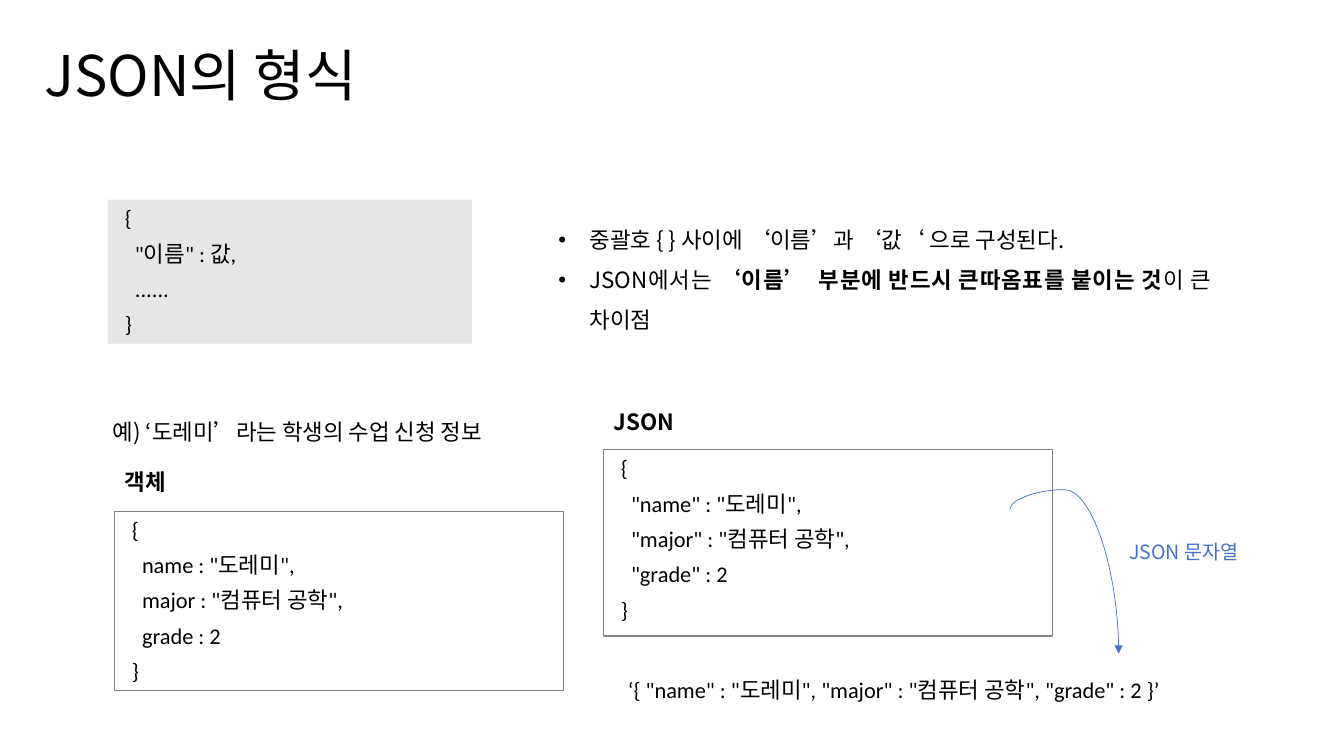
from pptx import Presentation
from pptx.dml.color import RGBColor
from pptx.enum.shapes import MSO_CONNECTOR, MSO_SHAPE
from pptx.enum.text import MSO_ANCHOR, MSO_AUTO_SIZE, PP_ALIGN
from pptx.oxml.ns import qn
from pptx.util import Pt
from lxml import etree

RECT, CURVE = MSO_SHAPE.RECTANGLE, MSO_CONNECTOR.CURVE
TOP, FIXED = MSO_ANCHOR.TOP, MSO_AUTO_SIZE.NONE
LEFT, JUSTIFY = PP_ALIGN.LEFT, PP_ALIGN.JUSTIFY
SANS, CODE = "Noto Sans CJK KR", "Calibri"
BLACK, BLUE, GRAY, PALE = "000000", "4472C4", "808080", "E7E6E6"
PX = 9144  # 100 px to the inch

# Content: places are left, top, width, height in px
TITLE = ("JSON의 형식", (34, 35, 472, 77))
# Code boxes: place, fill, line, inner rows between the braces
BOXES = [
    ((107, 198, 361, 143), PALE, None, ['"이름" : 값,', "......"]),
    ((114, 507, 445, 178), None, GRAY,
     ['name : "도레미",', 'major : "컴퓨터 공학",', "grade : 2"]),
    ((599, 446, 445, 185), None, GRAY,
     ['"name" : "도레미",', '"major" : "컴퓨터 공학",', '"grade" : 2']),
]
# Labels: text, place, size, font, colour, bold
LABELS = [
    ("예) ‘도레미’라는 학생의 수업 신청 정보", (102, 410, 667, 37), 16, SANS, BLACK, False),
    ("객체", (114, 460, 141, 37), 16, SANS, BLACK, True),
    ("JSON", (599, 400, 141, 37), 16, SANS, BLACK, True),
    ('‘{ "name" : "도레미", "major" : "컴퓨터 공학", "grade" : 2 }’',
     (613, 666, 702, 37), 16, CODE, BLACK, False),
    ("JSON 문자열", (1110, 531, 141, 34), 14, SANS, BLUE, False),
]
# Bullets: runs of text, size, bold
NOTES_AT = (544, 206, 667, 126)
NOTES = [
    [("중괄호 { } 사이에 ‘이름’과 ‘값‘ 으로 구성된다.", 16, False)],
    [("JSON에서는 ", 16, False), ("‘이름’ ", 16, True), (" ", 14, False),
     ("부분에 반드시 큰따옴표를 붙이는 것", 16, True), ("이 큰 차이점", 16, False)],
]
ARROW = (984, 523, 143, 108)  # before its quarter turn
BEND = -13800


def emu(place):
    return [n * PX for n in place]


def color(code):
    return RGBColor.from_string(code)


def add_run(para, text, size, font=SANS, code=BLACK, bold=False):
    run = para.add_run()
    run.text = text
    run.font.size, run.font.name, run.font.bold = Pt(size), font, bold
    run.font.color.rgb = color(code)
    east = etree.SubElement(run.font._element, qn("a:ea"))
    east.set("typeface", SANS)


def set_frame(shape):
    frame = shape.text_frame
    frame.word_wrap, frame.auto_size = True, FIXED
    frame.vertical_anchor = TOP
    return frame


def add_text(place):
    return set_frame(slide.shapes.add_textbox(*emu(place)))


def next_para(frame, index):
    return frame.add_paragraph() if index else frame.paragraphs[0]


def indent(para, left, first=0):
    props = para._p.get_or_add_pPr()
    props.set("marL", str(left * PX))
    props.set("indent", str(first * PX))
    return props


prs = Presentation()
prs.slide_width, prs.slide_height = 1333 * PX, 750 * PX
slide = prs.slides.add_slide(prs.slide_layouts[5])

# Title
text, place = TITLE
title = slide.shapes.title
title.left, title.top, title.width, title.height = emu(place)
para = set_frame(title).paragraphs[0]
para.alignment, para.line_spacing = LEFT, 1.0
add_run(para, text, 40)

# Code boxes
for place, fill, line, rows in BOXES:
    box = slide.shapes.add_shape(RECT, *emu(place))
    box.shadow.inherit = False
    if fill:
        box.fill.solid()
        box.fill.fore_color.rgb = color(fill)
    else:
        box.fill.background()
    if line:
        box.line.color.rgb = color(line)
        box.line.width = Pt(0.75)
    else:
        box.line.fill.background()
    frame = set_frame(box)
    for i, row in enumerate(["{", *rows, "}"]):
        para = next_para(frame, i)
        para.alignment = LEFT
        para.space_before = para.space_after = Pt(3)
        indent(para, 7 if row in "{}" else 17)
        add_run(para, row, 16, CODE)

# Bullets
frame = add_text(NOTES_AT)
for i, runs in enumerate(NOTES):
    para = next_para(frame, i)
    para.alignment, para.line_spacing = JUSTIFY, 1.5
    props = indent(para, 31, -31)
    etree.SubElement(props, qn("a:buFont")).set("typeface", "Arial")
    etree.SubElement(props, qn("a:buChar")).set("char", "•")
    for text, size, bold in runs:
        add_run(para, text, size, bold=bold)

# Labels
for text, place, *style in LABELS:
    add_run(add_text(place).paragraphs[0], text, *style)

# Curved arrow from the JSON box to its string
x, y, w, h = emu(ARROW)
arrow = slide.shapes.add_connector(CURVE, x, y, x + w, y + h)
arrow.line.color.rgb = color(BLUE)
arrow.line.width = Pt(0.5)
props = arrow._element.spPr
turn = props.find(qn("a:xfrm"))
turn.set("rot", "16200000")
turn.set("flipH", "1")
guide = etree.SubElement(props.find(qn("a:prstGeom")).find(qn("a:avLst")), qn("a:gd"))
guide.set("name", "adj1")
guide.set("fmla", f"val {BEND}")
etree.SubElement(props.find(qn("a:ln")), qn("a:tailEnd")).set("type", "triangle")
etree.SubElement(props, qn("a:effectLst"))

prs.save("out.pptx")
